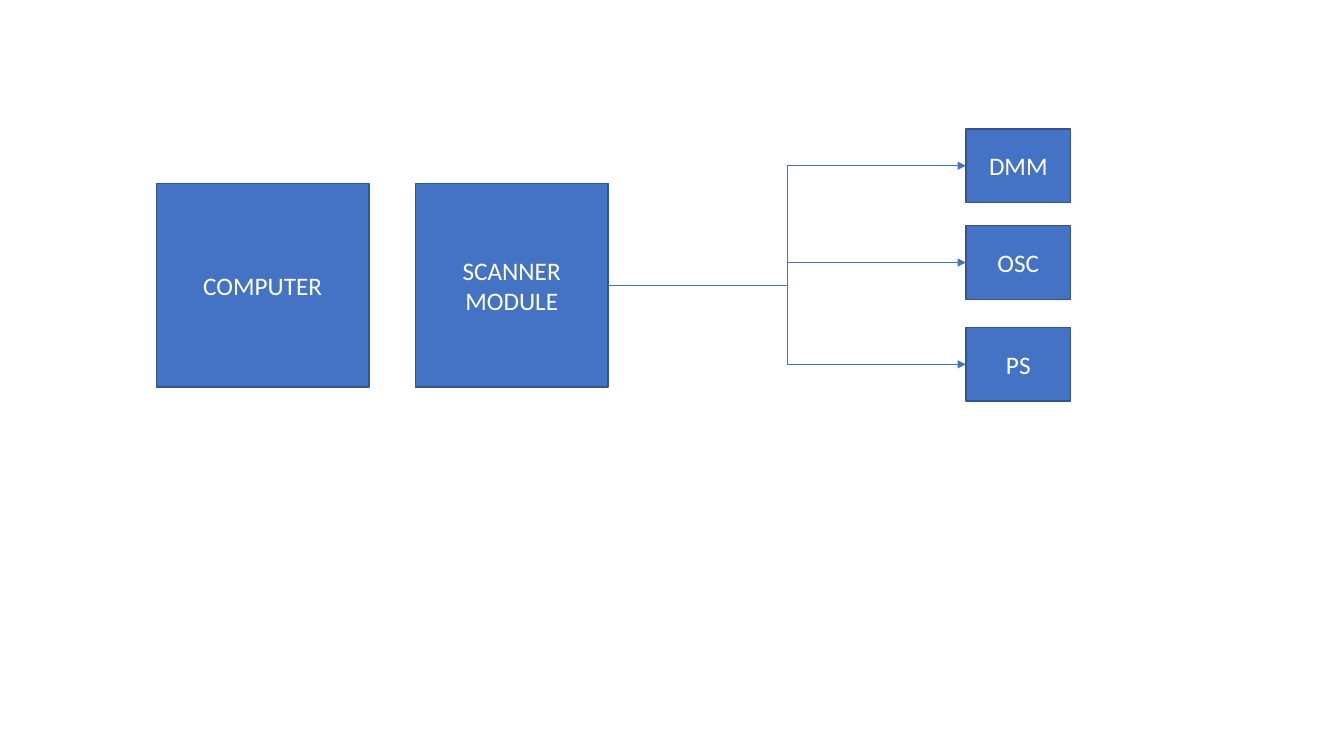
from dataclasses import dataclass

from pptx import Presentation
from pptx.dml.color import RGBColor
from pptx.enum.shapes import MSO_CONNECTOR, MSO_SHAPE
from pptx.enum.text import MSO_ANCHOR, PP_ALIGN
from pptx.oxml.ns import qn
from pptx.util import Inches, Pt
from lxml.etree import SubElement


@dataclass(frozen=True)
class Theme:
    block: RGBColor = RGBColor(0x44, 0x72, 0xC4)
    border: RGBColor = RGBColor(0x32, 0x54, 0x91)
    label: RGBColor = RGBColor(0xFF, 0xFF, 0xFF)
    font: str = "Calibri"
    label_size: Pt = Pt(18)
    border_width: Pt = Pt(1)
    wire_width: Pt = Pt(0.5)


THEME = Theme()
LEFT_SITE, RIGHT_SITE = 1, 3  # connection sites of a rectangle

# Row of large blocks: top and height are shared
MAIN_TOP, MAIN_HEIGHT = 1.82, 2.02

# Column of instruments: left, width and height are shared
INSTRUMENT_LEFT, INSTRUMENT_WIDTH, INSTRUMENT_HEIGHT = 9.58, 1.04, 0.73
INSTRUMENT_TOPS = {"DMM": 1.28, "OSC": 2.24, "PS": 3.25}


def set_format(target, values):
    for attribute, value in values.items():
        setattr(target, attribute, value)


def add_block(slide, label, left, top, width, height):
    """Add a labelled rectangle."""
    block = slide.shapes.add_shape(
        MSO_SHAPE.RECTANGLE, *map(Inches, (left, top, width, height)))
    block.shadow.inherit = False
    block.fill.solid()
    block.fill.fore_color.rgb = THEME.block
    block.line.color.rgb = THEME.border
    block.line.width = THEME.border_width

    frame = block.text_frame
    set_format(frame, {"text": label, "word_wrap": True,
                       "vertical_anchor": MSO_ANCHOR.MIDDLE})
    paragraph = frame.paragraphs[0]
    paragraph.alignment = PP_ALIGN.CENTER
    font = paragraph.runs[0].font
    set_format(font, {"name": THEME.font, "size": THEME.label_size})
    font.color.rgb = THEME.label
    return block


def add_wire(slide, source, target):
    """Join two blocks with an elbow arrow, right side to left side."""
    wire = slide.shapes.add_connector(MSO_CONNECTOR.ELBOW, 0, 0, 0, 0)
    wire.begin_connect(source, RIGHT_SITE)
    wire.end_connect(target, LEFT_SITE)
    wire.line.color.rgb = THEME.block
    wire.line.width = THEME.wire_width

    # Arrowhead, and no shadow
    SubElement(wire.line._get_or_add_ln(), qn("a:tailEnd"), type="triangle")
    SubElement(wire._element.spPr, qn("a:effectLst"))


def main():
    presentation = Presentation()
    presentation.slide_width = Inches(13.33)
    presentation.slide_height = Inches(7.5)
    slide = presentation.slides.add_slide(presentation.slide_layouts[6])

    # Controller and scanner
    add_block(slide, "COMPUTER", 1.55, MAIN_TOP, 2.11, MAIN_HEIGHT)
    scanner = add_block(slide, "SCANNER MODULE", 4.12, MAIN_TOP, 1.91, MAIN_HEIGHT)

    # Instruments
    instruments = [
        add_block(slide, label, INSTRUMENT_LEFT, top,
                  INSTRUMENT_WIDTH, INSTRUMENT_HEIGHT)
        for label, top in INSTRUMENT_TOPS.items()
    ]

    # Wires from the scanner to each instrument
    for instrument in instruments:
        add_wire(slide, scanner, instrument)

    presentation.save("out.pptx")


if __name__ == "__main__":
    main()
